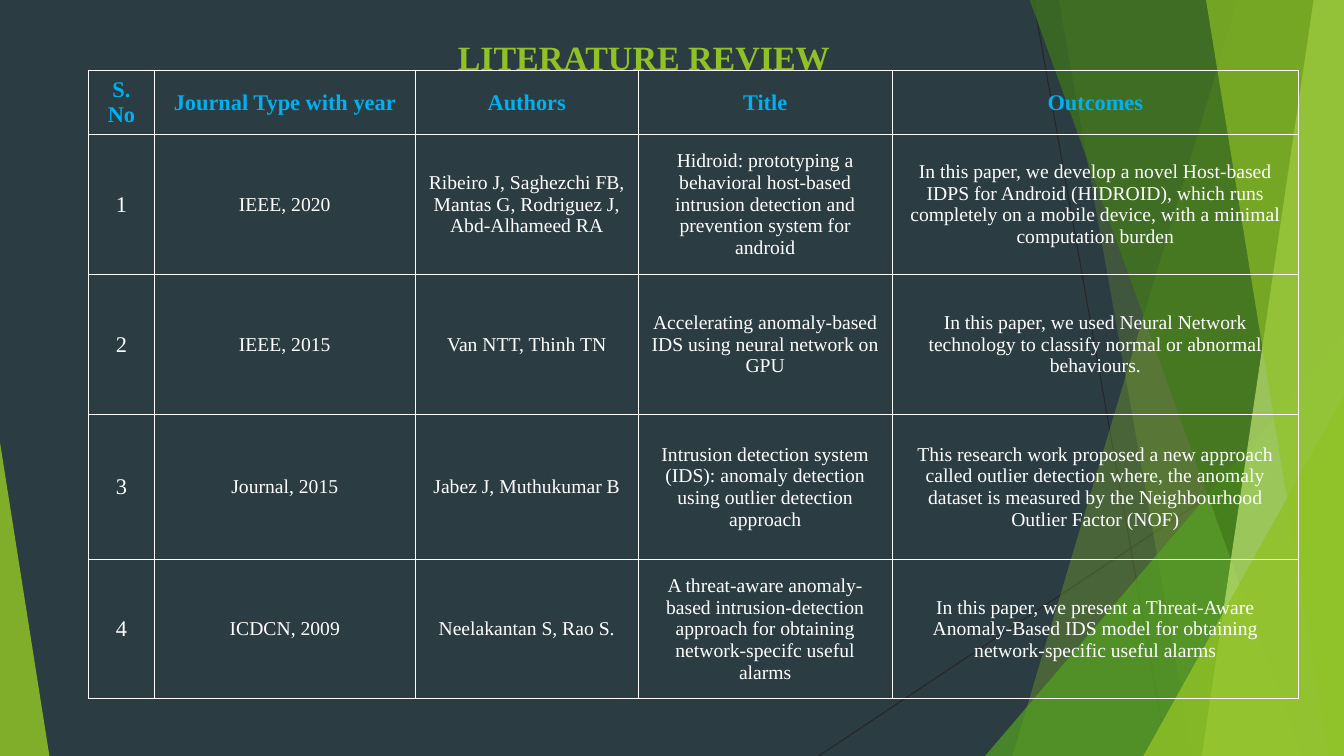
from lxml import etree
from pptx import Presentation
from pptx.dml.color import RGBColor
from pptx.enum.shapes import MSO_CONNECTOR, MSO_SHAPE
from pptx.enum.text import MSO_ANCHOR, PP_ALIGN
from pptx.oxml.ns import qn
from pptx.util import Inches, Pt

STRAIGHT = MSO_CONNECTOR.STRAIGHT
TRIANGLE = MSO_SHAPE.ISOSCELES_TRIANGLE
CENTER = PP_ALIGN.CENTER
MIDDLE, TOP = MSO_ANCHOR.MIDDLE, MSO_ANCHOR.TOP

SLATE = RGBColor(0x2C, 0x3C, 0x43)
CHARCOAL = RGBColor(0x26, 0x26, 0x26)
LIME = RGBColor(0x90, 0xC2, 0x26)
GREEN = RGBColor(0x54, 0xA0, 0x21)
FOREST = RGBColor(0x3F, 0x78, 0x19)
PALE_LIME = RGBColor(0xC0, 0xE4, 0x74)
SKY = RGBColor(0x00, 0xB0, 0xF0)
WHITE = RGBColor(0xFF, 0xFF, 0xFF)
FONT = "Times New Roman"

WIDTH, HEIGHT = 13.33, 7.5
BLEED = -0.01

TITLE = "LITERATURE REVIEW"
TITLE_BOX = (1.57, 0.27, 9.63, 0.69)

HEADINGS = ("S. No", "Journal Type with year", "Authors", "Title", "Outcomes")
PAPERS = [
    ("IEEE, 2020",
     "Ribeiro J, Saghezchi FB, Mantas G, Rodriguez J, Abd-Alhameed RA",
     "Hidroid: prototyping a behavioral host-based intrusion detection and "
     "prevention system for android",
     "In this paper, we develop a novel Host-based IDPS for Android (HIDROID), "
     "which runs completely on a mobile device, with a minimal computation burden"),
    ("IEEE, 2015",
     "Van NTT, Thinh TN",
     "Accelerating anomaly-based IDS using neural network on GPU",
     "In this paper, we used Neural Network technology to classify normal or "
     "abnormal behaviours."),
    ("Journal, 2015",
     "Jabez J, Muthukumar B",
     "Intrusion detection system (IDS): anomaly detection using outlier "
     "detection approach",
     "This research work proposed a new approach called outlier detection where, "
     "the anomaly dataset is measured by the Neighbourhood Outlier Factor (NOF)"),
    ("ICDCN, 2009",
     "Neelakantan S, Rao S.",
     "A threat-aware anomaly-based intrusion-detection approach for obtaining "
     "network-specifc useful alarms",
     "In this paper, we present a Threat-Aware Anomaly-Based IDS model for "
     "obtaining network-specific useful alarms"),
]
TABLE_LEFT, TABLE_TOP = 0.88, 0.7
COLUMN_WIDTHS = (0.65, 2.59, 2.21, 2.52, 4.03)
ROW_HEIGHTS = (0.62, 1.39, 1.39, 1.44, 1.38)

RAYS = [((10.25, 0), (11.58, HEIGHT)), ((WIDTH, 4.03), (8.12, HEIGHT))]

# Bands run to the right edge: (top x, bottom x), colour, opacity
# Wedges stand on the bottom edge: (left, top, width), apex, colour, opacity
FACETS = [
    ("band", (12.28, 10.04), LIME, 30),
    ("band", (10.5, 11.83), LIME, 20),
    ("wedge", (9.77, 3.33, 3.56), 1, GREEN, 72),
    ("band", (10.21, 12.91), FOREST, 70),
    ("band", (13.03, 11.92), PALE_LIME, 70),
    ("band", (11.96, 13.18), LIME, 65),
    ("wedge", (11.34, 3.93, 1.99), 1, LIME, 80),
    ("wedge", (0, 4.39, 0.49), 0, LIME, 85),
]


def add_ray(page, start, end):
    ray = page.shapes.add_connector(STRAIGHT, *map(Inches, start + end))
    ray.line.color.rgb = CHARCOAL
    ray.line.width = Pt(0.75)
    etree.SubElement(ray._element.spPr, qn("a:effectLst"))


def paint(shape, color, opacity):
    shape.shadow.inherit = False
    shape.line.fill.background()
    shape.fill.solid()
    shape.fill.fore_color.rgb = color
    tint = shape._element.spPr.find(qn("a:solidFill"))[0]
    etree.SubElement(tint, qn("a:alpha"), val=str(opacity * 1000))


def add_band(page, edge, color, opacity):
    top_x, bottom_x = edge
    outline = page.shapes.build_freeform(Inches(top_x), Inches(BLEED))
    corners = [(WIDTH, BLEED), (WIDTH, HEIGHT), (bottom_x, HEIGHT)]
    outline.add_line_segments([(Inches(x), Inches(y)) for x, y in corners])
    paint(outline.convert_to_shape(), color, opacity)


def add_wedge(page, place, apex, color, opacity):
    left, top, width = place
    wedge = page.shapes.add_shape(
        TRIANGLE, *map(Inches, (left, top, width, HEIGHT - top)))
    wedge.adjustments[0] = apex
    paint(wedge, color, opacity)


def write(frame, text, color, size, bold):
    para = frame.paragraphs[0]
    para.alignment = CENTER
    span = para.add_run()
    span.text = text
    span.font.color.rgb = color
    for name, value in {"name": FONT, "size": Pt(size), "bold": bold}.items():
        setattr(span.font, name, value)


def add_borders(cell):
    properties = cell._tc.get_or_add_tcPr()
    for index, side in enumerate(("lnL", "lnR", "lnT", "lnB")):
        border = etree.Element(qn(f"a:{side}"), w=str(Pt(1)))
        fill = etree.SubElement(border, qn("a:solidFill"))
        etree.SubElement(fill, qn("a:srgbClr"), val=str(WHITE))
        properties.insert(index, border)


def add_title(page):
    box = page.shapes.add_textbox(*map(Inches, TITLE_BOX))
    frame = box.text_frame
    frame.word_wrap = True
    frame.vertical_anchor = TOP
    frame.margin_top = Inches(0.09)
    write(frame, TITLE, LIME, 24.3, True)


def add_review_table(page):
    rows = [HEADINGS] + [(str(n), *paper) for n, paper in enumerate(PAPERS, 1)]
    area = (TABLE_LEFT, TABLE_TOP, sum(COLUMN_WIDTHS), sum(ROW_HEIGHTS))
    table = page.shapes.add_table(
        len(rows), len(HEADINGS), *map(Inches, area)).table
    table.first_row = table.horz_banding = False
    for column, width in zip(table.columns, COLUMN_WIDTHS):
        column.width = Inches(width)
    for row, height in zip(table.rows, ROW_HEIGHTS):
        row.height = Inches(height)
    for r, texts in enumerate(rows):
        for c, text in enumerate(texts):
            cell = table.cell(r, c)
            cell.fill.background()
            cell.vertical_anchor = MIDDLE
            add_borders(cell)
            heading = r == 0
            write(cell.text_frame, text, SKY if heading else WHITE,
                  16 if heading or c == 0 else 14, heading)


def main():
    deck = Presentation()
    deck.slide_width, deck.slide_height = Inches(WIDTH), Inches(HEIGHT)
    page = deck.slides.add_slide(deck.slide_layouts[6])
    page.background.fill.solid()
    page.background.fill.fore_color.rgb = SLATE
    for start, end in RAYS:
        add_ray(page, start, end)
    builders = {"band": add_band, "wedge": add_wedge}
    for kind, *details in FACETS:
        builders[kind](page, *details)
    add_title(page)
    add_review_table(page)
    deck.save("out.pptx")


if __name__ == "__main__":
    main()
